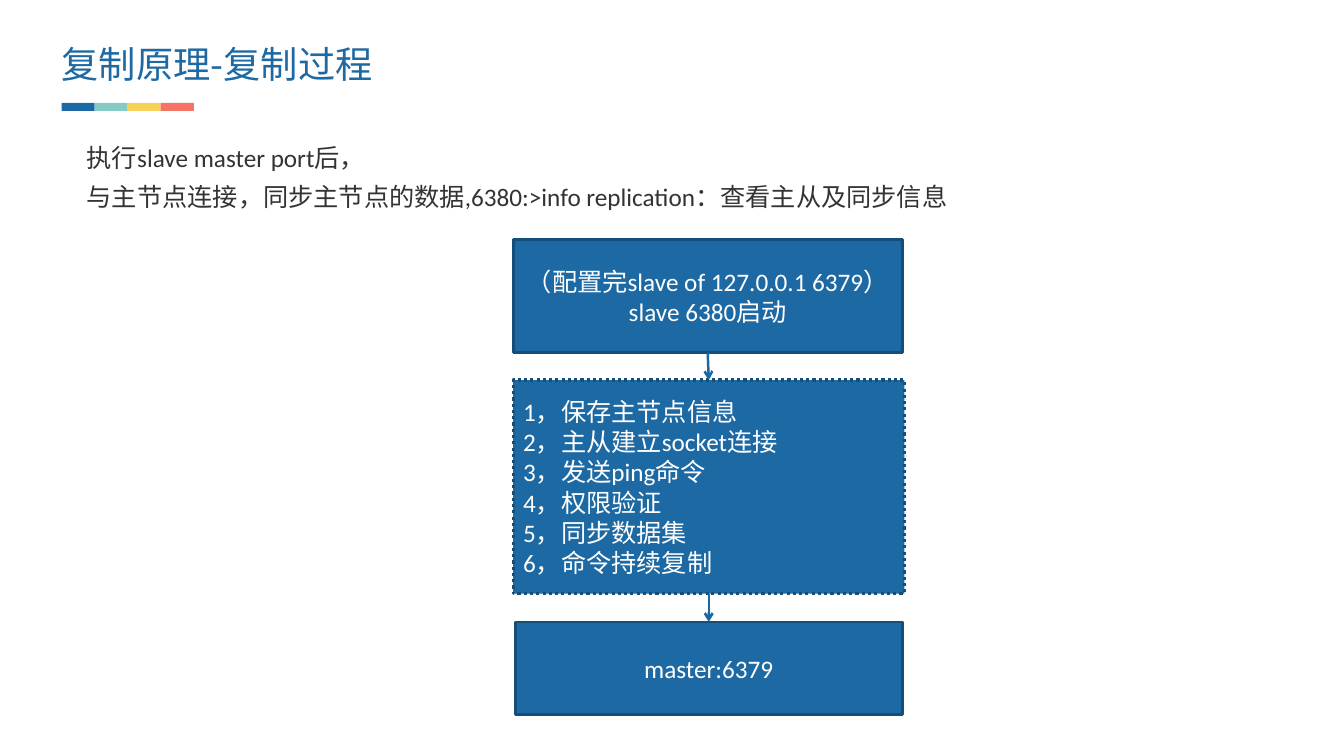
from dataclasses import dataclass

from lxml.etree import SubElement
from pptx import Presentation
from pptx.dml.color import RGBColor
from pptx.enum.dml import MSO_LINE_DASH_STYLE as Dash
from pptx.enum.shapes import MSO_CONNECTOR as Conn, MSO_SHAPE as Shape
from pptx.enum.text import MSO_ANCHOR as Anchor, MSO_AUTO_SIZE as AutoSize, PP_ALIGN as Align
from pptx.oxml.ns import qn
from pptx.util import Inches, Pt

BLUE = RGBColor(0x1D, 0x69, 0xA3)
TEAL = RGBColor(0x84, 0xCB, 0xC3)
YELLOW = RGBColor(0xF8, 0xD1, 0x58)
CORAL = RGBColor(0xF5, 0x73, 0x65)
EDGE = RGBColor(0x15, 0x4E, 0x79)
ARROW = RGBColor(0x19, 0x67, 0xA3)
DARK = RGBColor(0x33, 0x33, 0x33)
WHITE = RGBColor(0xFF, 0xFF, 0xFF)
LATIN, CJK = "Calibri", "Noto Sans CJK SC"
WIDTH, HEIGHT = Inches(13.33), Inches(7.5)
LEFT = 4.58


@dataclass
class Area:
    """Position and size in percent of the slide's width and height."""
    x: float
    y: float
    w: float
    h: float

    def emu(self) -> tuple[int, int, int, int]:
        return (int(WIDTH * self.x / 100), int(HEIGHT * self.y / 100),
                int(WIDTH * self.w / 100), int(HEIGHT * self.h / 100))


@dataclass
class Stage:
    area: Area
    lines: list[str]
    align: Align = Align.CENTER
    line_width: float = 2
    dash: Dash = Dash.SOLID


STAGES = [
    Stage(Area(38.18, 31.73, 28.96, 14.93),
          ["（配置完slave of 127.0.0.1 6379）", "slave 6380启动"]),
    Stage(Area(38.18, 50.27, 29.11, 28.27),
          ["1，保存主节点信息", "2，主从建立socket连接", "3，发送ping命令",
           "4，权限验证", "5，同步数据集", "6，命令持续复制"],
          Align.JUSTIFY, 2.25, Dash.ROUND_DOT),
    Stage(Area(38.33, 82.27, 28.81, 12.27), ["master:6379"]),
]
INTRO = ["执行slave master port后，",
         "与主节点连接，同步主节点的数据,6380:>info replication：查看主从及同步信息"]


def write(tf, lines: list[str], size: float, color: RGBColor,
          align: Align, latin: str = LATIN) -> None:
    tf.word_wrap = True
    for i, line in enumerate(lines):
        p = tf.paragraphs[0] if i == 0 else tf.add_paragraph()
        p.alignment = align
        r = p.add_run()
        r.text = line
        r.font.size, r.font.name = Pt(size), latin
        r.font.color.rgb = color
        SubElement(r.font._element, qn("a:ea")).set("typeface", CJK)


def place(sp, area: Area) -> None:
    sp.left, sp.top, sp.width, sp.height = area.emu()


def add_box(slide, area: Area, fill: RGBColor):
    sp = slide.shapes.add_shape(Shape.RECTANGLE, *area.emu())
    sp.shadow.inherit = False
    sp.fill.solid()
    sp.fill.fore_color.rgb = fill
    sp.line.fill.background()
    return sp


def add_stage(slide, stage: Stage):
    sp = add_box(slide, stage.area, BLUE)
    sp.line.color.rgb = EDGE
    sp.line.width = Pt(stage.line_width)
    sp.line.dash_style = stage.dash
    sp.text_frame.vertical_anchor = Anchor.MIDDLE
    write(sp.text_frame, stage.lines, 18, WHITE, stage.align)
    return sp


def add_arrow(slide, upper, lower) -> None:
    line = slide.shapes.add_connector(Conn.STRAIGHT, 0, 0, 0, 0)
    line.begin_connect(upper, 2)
    line.end_connect(lower, 0)
    line.line.color.rgb = ARROW
    line.line.width = Pt(1.75)
    SubElement(line.line._get_or_add_ln(), qn("a:tailEnd")).set("type", "arrow")
    SubElement(line._element.spPr, qn("a:effectLst"))


def add_title(slide) -> None:
    sp = slide.shapes.title
    place(sp, Area(LEFT, 5.47, 70.29, 6))
    tf = sp.text_frame
    tf.margin_left = tf.margin_top = tf.margin_right = tf.margin_bottom = 0
    tf.vertical_anchor = Anchor.TOP
    tf.auto_size = AutoSize.SHAPE_TO_FIT_TEXT
    write(tf, ["复制原理-复制过程"], 26.6, BLUE, Align.LEFT, CJK)


def add_intro(slide) -> None:
    sp = slide.placeholders[1]
    place(sp, Area(LEFT, 16.93, 68.42, 11.87))
    tf = sp.text_frame
    tf.auto_size = AutoSize.SHAPE_TO_FIT_TEXT
    write(tf, INTRO, 18, DARK, Align.LEFT)
    for p in tf.paragraphs:
        p.line_spacing, p.space_before = 1.3, Pt(0)
        pPr = p._p.get_or_add_pPr()
        pPr.set("marL", "0")
        pPr.set("indent", str(Inches(0.15)))
        SubElement(pPr, qn("a:buNone"))


def main() -> None:
    prs = Presentation()
    prs.slide_width, prs.slide_height = WIDTH, HEIGHT
    slide = prs.slides.add_slide(prs.slide_layouts[1])
    add_title(slide)
    bar_width = 2.46
    for i, color in enumerate([BLUE, TEAL, YELLOW, CORAL]):
        add_box(slide, Area(LEFT + i * bar_width, 13.6, bar_width, 1.07), color)
    add_intro(slide)
    boxes = [add_stage(slide, stage) for stage in STAGES]
    for upper, lower in zip(boxes, boxes[1:]):
        add_arrow(slide, upper, lower)
    prs.save("out.pptx")


if __name__ == "__main__":
    main()
